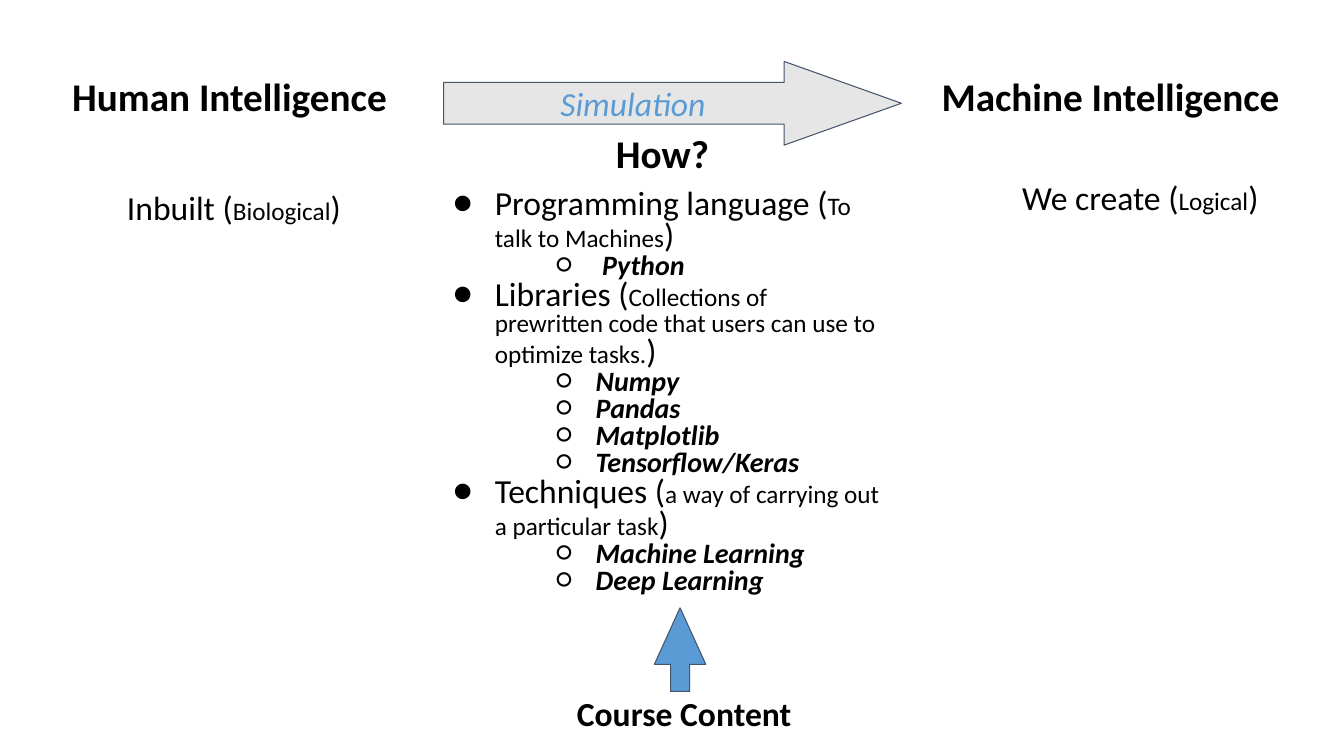
import pptx
import pptx.dml.color
import pptx.enum.shapes
import pptx.enum.text
import pptx.oxml
import pptx.oxml.ns
import pptx.util
from pptx.util import Inches

BLACK, BLUE, GREY, SLATE = "000000", "5B9BD5", "E7E6E6", "44546A"
CENTER = pptx.enum.text.PP_ALIGN.CENTER
LEFT = pptx.enum.text.PP_ALIGN.LEFT
SHAPE = pptx.enum.shapes.MSO_SHAPE

# Each topic: name, explanation, examples
TOPICS = [
    ("Programming language", "To talk to Machines", [" Python"]),
    ("Libraries",
     "Collections of prewritten code that users can use to optimize tasks.",
     ["Numpy", "Pandas", "Matplotlib", "Tensorflow/Keras"]),
    ("Techniques", "a way of carrying out a particular task",
     ["Machine Learning", "Deep Learning"]),
]


def color(value):
    return pptx.dml.color.RGBColor.from_string(value)


def add_text_box(page, left, top, width, height, inset=0.05):
    box = page.shapes.add_textbox(
        Inches(left), Inches(top), Inches(width), Inches(height))
    frame = box.text_frame
    frame.word_wrap = True
    frame.margin_left = frame.margin_right = Inches(0.1)
    frame.margin_top = frame.margin_bottom = Inches(inset)
    return frame


def add_paragraph(frame, spans, align=LEFT, spacing=0.9, before=0,
                  bold=False, italic=False, font_color=BLACK,
                  bullet=None, margin=0, indent=0):
    """Write one paragraph from (text, size) spans."""
    first = frame.paragraphs[0]
    para = frame.add_paragraph() if first.runs else first
    para.alignment = align
    para.line_spacing = spacing
    para.space_before = pptx.util.Pt(before)
    properties = para._p.get_or_add_pPr()
    properties.set("marL", str(Inches(margin)))
    properties.set("indent", str(Inches(indent)))
    if bullet:
        namespace = pptx.oxml.ns.nsdecls("a")
        for xml in (
                f'<a:buClr {namespace}><a:srgbClr val="{BLACK}"/></a:buClr>',
                f'<a:buFont {namespace} typeface="Calibri"/>',
                f'<a:buChar {namespace} char="{bullet}"/>'):
            properties.append(pptx.oxml.parse_xml(xml))
    para.font.name = "Calibri"
    para.font.bold = bold
    para.font.italic = italic
    para.font.color.rgb = color(font_color)
    for text, size in spans:
        span = para.add_run()
        span.text = text
        span.font.size = pptx.util.Pt(size)


def with_note(name, note):
    """Large name followed by a smaller note in brackets."""
    return [(f"{name} (", 24), (note, 18), (")", 24)]


def add_arrow(page, kind, left, top, width, height, fill, adjustments):
    arrow = page.shapes.add_shape(
        kind, Inches(left), Inches(top), Inches(width), Inches(height))
    arrow.shadow.inherit = False
    arrow.fill.solid()
    arrow.fill.fore_color.rgb = color(fill)
    arrow.line.color.rgb = color(SLATE)
    arrow.line.width = pptx.util.Pt(0.75)
    for index, value in enumerate(adjustments):
        arrow.adjustments[index] = value


def add_topics(frame):
    for number, (name, note, examples) in enumerate(TOPICS):
        add_paragraph(frame, with_note(name, note), spacing=0.8,
                      before=0 if number else 10,
                      bullet="●", margin=0.5, indent=-0.42)
        for example in examples:
            add_paragraph(frame, [(example, 20)], spacing=0.8, bold=True,
                          italic=True, bullet="○", margin=1.5, indent=-0.39)


def main():
    deck = pptx.Presentation()
    deck.slide_width, deck.slide_height = Inches(13.33), Inches(7.5)
    page = deck.slides.add_slide(deck.slide_layouts[6])

    # Human side
    human = add_text_box(page, 0.34, 0.72, 3.96, 1.9)
    add_paragraph(human, [("Human Intelligence ", 28)], CENTER,
                  before=10, bold=True)
    add_paragraph(human, with_note("Inbuilt", "Biological"), CENTER, before=51)

    # Machine side
    machine = add_text_box(page, 8.74, 0.72, 4.17, 1.98)
    add_paragraph(machine, [("Machine Intelligence", 28)], before=10,
                  bold=True, margin=0.5)
    add_paragraph(machine, with_note("We create", "Logical"), CENTER,
                  before=44, margin=0.97)

    # Course content with its arrow
    course = add_text_box(page, 5.39, 6.77, 2.79, 0.61, inset=0.1)
    add_paragraph(course, [("Course Content", 24)], CENTER, spacing=1.0,
                  bold=True)
    add_arrow(page, SHAPE.UP_ARROW, 6.49, 6.03, 0.51, 0.83, BLUE,
              [0.37, 1.1])

    # Simulation arrow with its label
    add_arrow(page, SHAPE.RIGHT_ARROW, 4.4, 0.61, 4.54, 0.83, GREY,
              [0.5, 1.4])
    simulation = add_text_box(page, 5.46, 0.72, 1.93, 0.61, inset=0.1)
    add_paragraph(simulation, [("Simulation", 24)], spacing=1.0, italic=True,
                  font_color=BLUE)

    # How the simulation is done
    how = add_text_box(page, 4.31, 1.32, 4.52, 5.01)
    add_paragraph(how, [("How?", 28)], CENTER, spacing=0.8, before=10,
                  bold=True)
    add_topics(how)

    deck.save("out.pptx")


if __name__ == "__main__":
    main()
